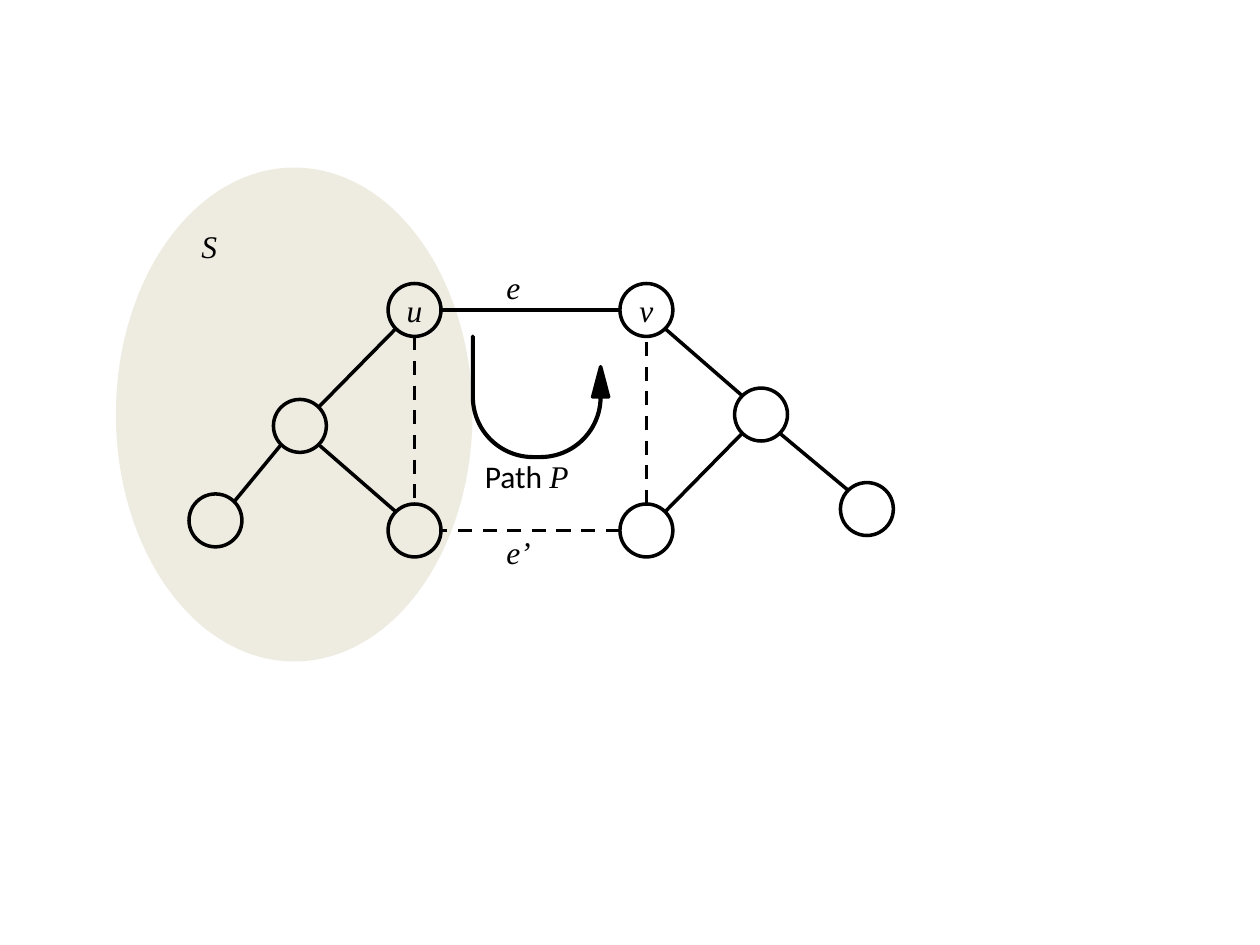
from dataclasses import dataclass
from math import cos, radians, sin

from lxml import etree
from pptx import Presentation
from pptx.dml.color import RGBColor
from pptx.enum.dml import MSO_LINE
from pptx.enum.shapes import MSO_CONNECTOR, MSO_SHAPE
from pptx.enum.text import MSO_ANCHOR, MSO_AUTO_SIZE, PP_ALIGN
from pptx.oxml.ns import qn
from pptx.util import Inches, Pt

OVAL = MSO_SHAPE.OVAL
U_TURN = MSO_SHAPE.U_TURN_ARROW
STRAIGHT = MSO_CONNECTOR.STRAIGHT
DASH = MSO_LINE.DASH
MIDDLE = MSO_ANCHOR.MIDDLE
CENTER = PP_ALIGN.CENTER
FIT_SHAPE = MSO_AUTO_SIZE.SHAPE_TO_FIT_TEXT

BLACK = "000000"
BEIGE = "EEECE1"
SERIF = "Times New Roman"
SANS = "Calibri"
DIAMETER = 0.42
RADIUS = DIAMETER / 2
ANGLES = {"E": 0, "SE": 45, "S": 90, "SW": 135, "W": 180, "NW": 225, "N": 270, "NE": 315}


@dataclass
class Node:
    x: float
    y: float
    name: str = ""

    def port(self, side: str) -> tuple[float, float]:
        a = radians(ANGLES[side])
        return self.x + RADIUS * (1 + cos(a)), self.y + RADIUS * (1 + sin(a))


@dataclass
class Edge:
    start: str
    start_side: str
    end: str
    end_side: str
    dashed: bool = False


@dataclass
class Label:
    x: float
    y: float
    w: float
    math: str
    prefix: str = ""


NODES = {
    "u": Node(3.08, 2.25, "u"),
    "left_hub": Node(2.17, 3.17),
    "left_low": Node(3.08, 4),
    "left_leaf": Node(1.5, 3.92),
    "v": Node(4.92, 2.25, "v"),
    "right_hub": Node(5.83, 3.08),
    "right_leaf": Node(6.67, 3.83),
    "right_low": Node(4.92, 4),
}
EDGES = [
    Edge("u", "SW", "left_hub", "NE"),
    Edge("left_hub", "SW", "left_leaf", "NE"),
    Edge("left_hub", "SE", "left_low", "NW"),
    Edge("v", "SE", "right_hub", "NW"),
    Edge("right_low", "NE", "right_hub", "SW"),
    Edge("right_leaf", "NW", "right_hub", "SE"),
    Edge("u", "S", "left_low", "N", True),
    Edge("right_low", "W", "left_low", "E", True),
    Edge("right_low", "N", "v", "S", True),
    Edge("u", "E", "v", "W"),
]
LABELS = [
    Label(3.92, 2.08, 0.31, "e"),
    Label(3.92, 4.18, 0.4, "e’"),
    Label(3.75, 3.58, 0.87, "P", "Path "),
    Label(1.5, 1.75, 0.33, "S"),
]


def color(value: str) -> RGBColor:
    return RGBColor.from_string(value)


def set_line(s) -> None:
    s.line.color.rgb = color(BLACK)
    s.line.width = Pt(2)


def add_run(p, text: str, font: str, italic: bool) -> None:
    r = p.add_run()
    r.text = text
    r.font.name = font
    r.font.size = Pt(18)
    r.font.italic = italic
    r.font.color.rgb = color(BLACK)


def add_set(sp) -> None:
    s = sp.add_shape(OVAL, Inches(0.92), Inches(1.33), Inches(2.83), Inches(3.92))
    s.shadow.inherit = False
    s.fill.solid()
    s.fill.fore_color.rgb = color(BEIGE)
    s.line.fill.background()


def add_node(sp, node: Node) -> None:
    s = sp.add_shape(OVAL, Inches(node.x), Inches(node.y), Inches(DIAMETER), Inches(DIAMETER))
    s.shadow.inherit = False
    s.fill.background()
    set_line(s)
    if node.name:
        tf = s.text_frame
        tf.word_wrap = False
        tf.vertical_anchor = MIDDLE
        p = tf.paragraphs[0]
        p.alignment = CENTER
        add_run(p, node.name, SERIF, True)


def add_edge(sp, edge: Edge) -> None:
    x1, y1 = NODES[edge.start].port(edge.start_side)
    x2, y2 = NODES[edge.end].port(edge.end_side)
    s = sp.add_connector(STRAIGHT, Inches(x1), Inches(y1), Inches(x2), Inches(y2))
    set_line(s)
    if edge.dashed:
        s.line.dash_style = DASH
    etree.SubElement(s.element.spPr, qn("a:effectLst"))


def add_label(sp, label: Label) -> None:
    s = sp.add_textbox(Inches(label.x), Inches(label.y), Inches(label.w), Inches(0.4))
    tf = s.text_frame
    tf.word_wrap = False
    tf.auto_size = FIT_SHAPE
    p = tf.paragraphs[0]
    if label.prefix:
        add_run(p, label.prefix, SANS, False)
    add_run(p, label.math, SERIF, True)


def add_path_arrow(sp) -> None:
    s = sp.add_shape(U_TURN, Inches(3.75), Inches(2.67), Inches(1.08), Inches(0.96))
    s.shadow.inherit = False
    for i, value in enumerate((0.005, 0.066, 0.25, 0.5, 0.75)):
        s.adjustments[i] = value
    s.rotation = 180
    s.element.spPr.find(qn("a:xfrm")).set("flipH", "1")
    s.fill.solid()
    s.fill.fore_color.rgb = color(BLACK)
    set_line(s)


def main() -> None:
    prs = Presentation()
    prs.slide_width = Inches(10)
    prs.slide_height = Inches(7.5)
    sp = prs.slides.add_slide(prs.slide_layouts[6]).shapes
    add_set(sp)
    for node in NODES.values():
        add_node(sp, node)
    for edge in EDGES:
        add_edge(sp, edge)
    add_path_arrow(sp)
    for label in LABELS:
        add_label(sp, label)
    prs.save("out.pptx")


if __name__ == "__main__":
    main()
